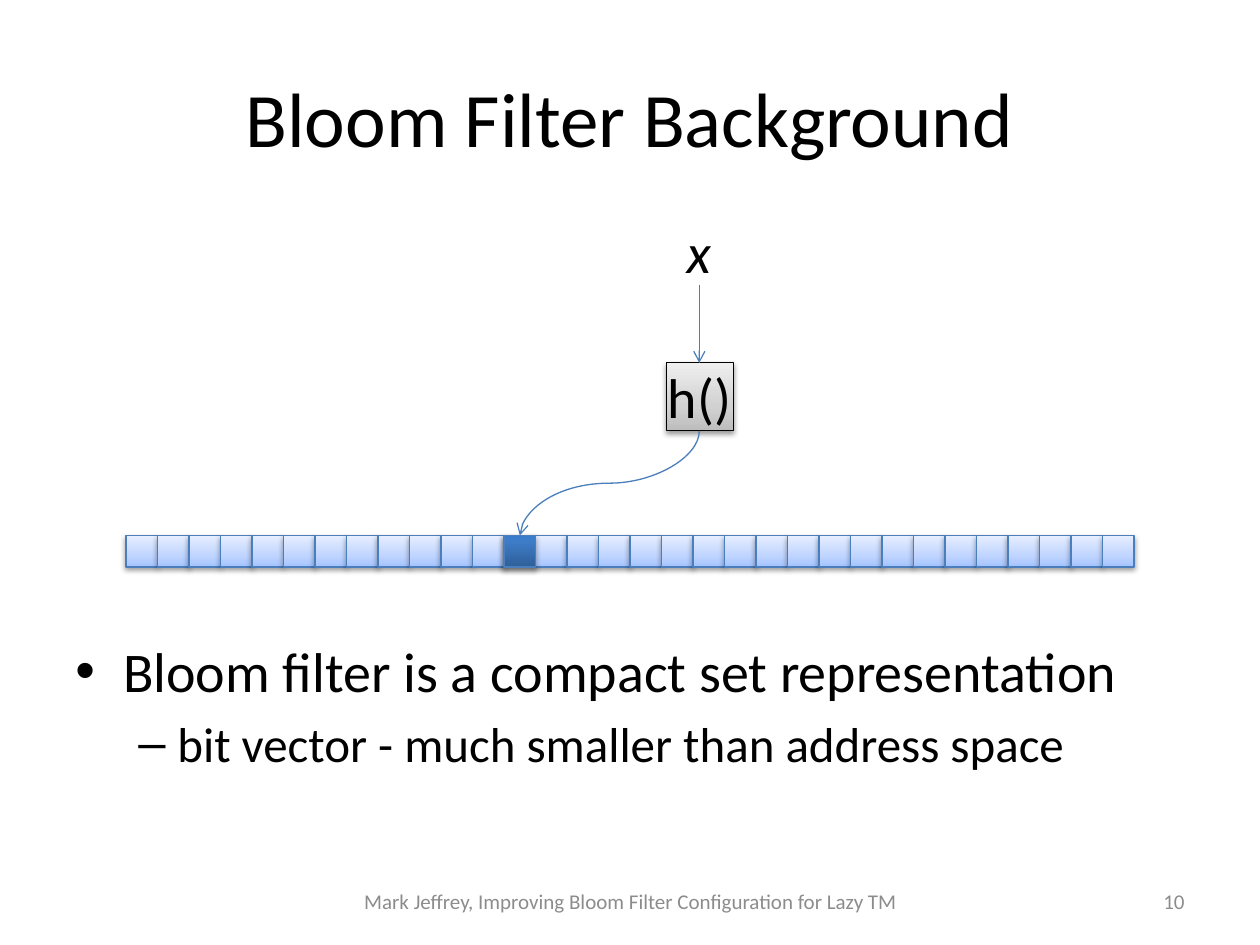
from lxml.etree import SubElement
from pptx import Presentation
from pptx.dml.color import RGBColor
from pptx.enum.shapes import MSO_CONNECTOR, MSO_SHAPE
from pptx.enum.text import MSO_ANCHOR, PP_ALIGN
from pptx.oxml.ns import qn
from pptx.util import Inches, Pt

COLORS = {"text": "000000", "footer": "8C8C8C", "line": "4B7EBC", "shadow": "000000"}
GRADIENTS = {
    "bit": [(0, "A4C4FF"), (35, "BFD4FF"), (100, "E6EEFF")],
    "hash": [(0, "BDBDBD"), (35, "D1D1D1"), (100, "EEEEEE")],
    "set_bit": [(0, "2F5F99"), (80, "3D7CC7"), (100, "3A7CCB")],
}


def write_text(paragraph, text, size, color="text", italic=None, align=PP_ALIGN.LEFT):
    """Put one formatted run of text in a paragraph."""
    paragraph.alignment = align
    run = paragraph.add_run()
    run.text = text
    run.font.name = "Calibri"
    run.font.size = Pt(size)
    run.font.italic = italic
    run.font.color.rgb = RGBColor.from_string(COLORS[color])


def set_frame(frame, wrap=True, anchor=MSO_ANCHOR.TOP, side=0.1, edge=0.05):
    """Set the wrapping, anchor and insets of a text frame."""
    frame.word_wrap = wrap
    frame.vertical_anchor = anchor
    frame.margin_left = frame.margin_right = Inches(side)
    frame.margin_top = frame.margin_bottom = Inches(edge)


def add_label(slide, box, text, size, frame_format=None, **text_format):
    """Add a text box with a single paragraph."""
    frame = slide.shapes.add_textbox(*map(Inches, box)).text_frame
    set_frame(frame, **(frame_format or {"anchor": MSO_ANCHOR.MIDDLE}))
    write_text(frame.paragraphs[0], text, size, **text_format)


def add_gradient_box(shapes, box, gradient, line="line", shadow_alpha=38, distance=1.6):
    """Add a rectangle with a rising gradient and a soft shadow below."""
    shape = shapes.add_shape(MSO_SHAPE.RECTANGLE, *map(Inches, box))
    shape.fill.gradient()
    shape.fill.gradient_angle = 90
    stops = shape._element.spPr.find(".//" + qn("a:gsLst"))
    stops.clear()
    for position, color in GRADIENTS[gradient]:
        stop = SubElement(stops, qn("a:gs"), pos=str(position * 1000))
        SubElement(stop, qn("a:srgbClr"), val=color)
    shape.line.color.rgb = RGBColor.from_string(COLORS[line])
    shape.line.width = Pt(0.75)
    shape.shadow.inherit = False
    shadow = SubElement(
        shape._element.spPr.find(qn("a:effectLst")), qn("a:outerShdw"),
        blurRad=str(Pt(3.1)), dist=str(Pt(distance)), dir="5400000", rotWithShape="0",
    )
    shadow_color = SubElement(shadow, qn("a:srgbClr"), val=COLORS["shadow"])
    SubElement(shadow_color, qn("a:alpha"), val=str(shadow_alpha * 1000))
    return shape


def add_arrow(slide, kind, begin, end, rotation=0):
    """Add a connector with an open arrowhead at its end."""
    arrow = slide.shapes.add_connector(kind, *map(Inches, (*begin, *end)))
    arrow.line.color.rgb = RGBColor.from_string(COLORS["line"])
    arrow.line.width = Pt(0.75)
    properties = arrow._element.spPr
    SubElement(properties.find(qn("a:ln")), qn("a:tailEnd"), type="arrow")
    SubElement(properties, qn("a:effectLst"))
    if rotation:
        properties.find(qn("a:xfrm")).set("rot", str(rotation * 60000))


def add_bit_vector(slide, left, top, cell, count):
    """Add a grouped row of equal bits."""
    group = slide.shapes.add_group_shape()
    for index in range(count):
        add_gradient_box(group.shapes, (left + index * cell, top, cell, cell), "bit")


def add_hashing(slide, left, top, vector_top, bit_left, cell):
    """Add the key, the hash function and the bit that it sets."""
    add_label(slide, (left + 0.16, top, 0.19, 0.54), "x", 32, italic=True,
              frame_format={"wrap": False, "side": 0, "edge": 0})
    hash_top, hash_size = top + 1.15, 0.54
    hash_box = add_gradient_box(
        slide.shapes, (left, hash_top, 0.53, hash_size), "hash", line="text")
    set_frame(hash_box.text_frame, wrap=False, side=0.01, edge=0)
    write_text(hash_box.text_frame.paragraphs[0], "h()", 32)

    center = left + 0.26
    add_arrow(slide, MSO_CONNECTOR.STRAIGHT, (center, top + 0.53), (center, hash_top))
    bit_center = bit_left + cell / 2
    start = hash_top + hash_size
    middle_x, middle_y = (center + bit_center) / 2, (start + vector_top) / 2
    half_drop, half_run = (vector_top - start) / 2, (center - bit_center) / 2
    add_arrow(slide, MSO_CONNECTOR.CURVE,
              (middle_x - half_drop, middle_y - half_run),
              (middle_x + half_drop, middle_y + half_run), rotation=90)
    add_gradient_box(slide.shapes, (bit_left, vector_top, cell, cell), "set_bit",
                     shadow_alpha=35, distance=1.8)


def add_bullets(slide, box, bullets):
    """Add a list of bullets with hanging indents."""
    frame = slide.shapes.add_textbox(*map(Inches, box)).text_frame
    set_frame(frame)
    for index, (level, mark, margin, hanging, size, text) in enumerate(bullets):
        paragraph = frame.add_paragraph() if index else frame.paragraphs[0]
        properties = paragraph._p.get_or_add_pPr()
        properties.set("marL", str(Inches(margin)))
        properties.set("indent", str(-Inches(hanging)))
        SubElement(properties, qn("a:buFont"), typeface="Arial")
        SubElement(properties, qn("a:buChar"), char=mark)
        paragraph.level = level
        if index:
            paragraph.space_before = Pt(size * 0.2)
        write_text(paragraph, text, size)


def add_footer(slide, top, height):
    """Add the footer text and the slide number."""
    add_label(slide, (2.38, top, 5.25, height),
              "Mark Jeffrey, Improving Bloom Filter Configuration for Lazy TM",
              12, color="footer", align=PP_ALIGN.CENTER)
    add_label(slide, (8.42, top, 1.08, height), "10", 12,
              color="footer", align=PP_ALIGN.RIGHT)


def main():
    """Build the slide and save it."""
    presentation = Presentation()
    presentation.slide_width, presentation.slide_height = Inches(10), Inches(7.5)
    slide = presentation.slides.add_slide(presentation.slide_layouts[6])
    add_label(slide, (0.5, 0.3, 9, 1.25), "Bloom Filter Background", 44,
              align=PP_ALIGN.CENTER)
    add_footer(slide, 6.95, 0.4)
    vector_left, vector_top, cell = 1, 4.25, 0.25
    add_bit_vector(slide, vector_left, vector_top, cell, 32)
    add_bullets(slide, (0.5, 5, 9, 1.7), [
        (0, "•", 0.38, 0.38, 32, "Bloom filter is a compact set representation"),
        (1, "–", 0.81, 0.31, 28, "bit vector - much smaller than address space"),
    ])
    add_hashing(slide, 5.29, 1.73, vector_top, vector_left + 12 * cell, cell)
    presentation.save("out.pptx")


if __name__ == "__main__":
    main()
